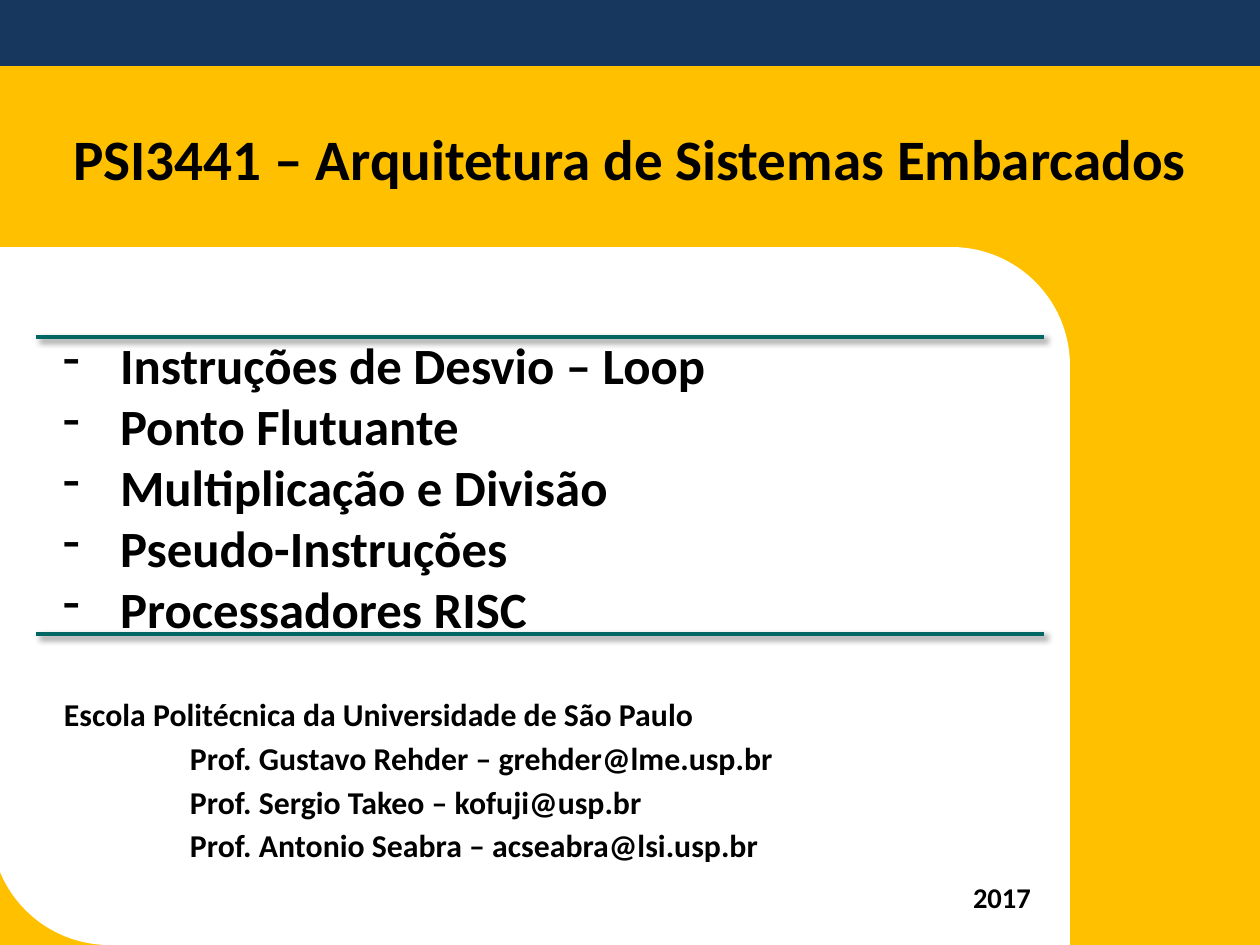
from lxml.etree import SubElement
from pptx import Presentation
from pptx.dml.color import RGBColor
from pptx.enum.shapes import MSO_CONNECTOR as Connector, MSO_SHAPE as Shape
from pptx.enum.text import MSO_ANCHOR as Anchor, MSO_AUTO_SIZE as AutoSize, PP_ALIGN as Align
from pptx.oxml import parse_xml
from pptx.oxml.ns import nsdecls, qn
from pptx.util import Emu, Pt

SCALE = 8000
WIDTH, HEIGHT = 1260, 945
FONT = "Calibri"
COLORS = {"gold": "FFC000", "navy": "17375E", "white": "FFFFFF",
          "teal": "006663", "black": "000000"}
TWO_CONTENT = 3
TOPICS = ["Instruções de Desvio – Loop", "Ponto Flutuante",
          "Multiplicação e Divisão", "Pseudo-Instruções", "Processadores RISC"]
SCHOOL = "Escola Politécnica da Universidade de São Paulo"
PROFESSORS = ["Prof. Gustavo Rehder – grehder@lme.usp.br",
              "Prof. Sergio Takeo – kofuji@usp.br",
              "Prof. Antonio Seabra – acseabra@lsi.usp.br"]


def px(value):
    """Turn pixels into EMU."""
    return Emu(value * SCALE)


def color(name):
    """Look up a named colour."""
    return RGBColor.from_string(COLORS[name])


class CoverBuilder:
    """Hold the style and the current slide, and draw each kind of element."""

    def __init__(self, deck):
        """Set the slide size and add the page."""
        deck.slide_width, deck.slide_height = px(WIDTH), px(HEIGHT)
        self.page = deck.slides.add_slide(deck.slide_layouts[TWO_CONTENT])

    def panel(self, kind, left, top, width, height, fill):
        """Draw a plain filled shape."""
        shape = self.page.shapes.add_shape(kind, px(left), px(top), px(width), px(height))
        shape.shadow.inherit = False
        shape.fill.solid()
        shape.fill.fore_color.rgb = color(fill)
        shape.line.fill.background()
        return shape

    def rule(self, left, right, y):
        """Draw a horizontal teal rule with a soft shadow."""
        line = self.page.shapes.add_connector(
            Connector.STRAIGHT, px(left), px(y), px(right), px(y))
        line.line.color.rgb = color("teal")
        line.line.width = Pt(3)
        line.element.spPr.append(parse_xml(
            f'<a:effectLst {nsdecls("a")}><a:outerShdw blurRad="{Pt(4)}" dist="{Pt(3)}" '
            f'dir="2700000" algn="tl" rotWithShape="0"><a:srgbClr val="{COLORS["black"]}">'
            '<a:alpha val="40000"/></a:srgbClr></a:outerShdw></a:effectLst>'))

    def placeholder(self, index, left, top, width, height, anchor):
        """Move a placeholder in front of the panels and return its text frame."""
        box = self.page.placeholders[index]
        box.left, box.top, box.width, box.height = px(left), px(top), px(width), px(height)
        self.page.shapes.element.append(box.element)
        return self.frame(box, anchor)

    def text_box(self, left, top, width, height):
        """Add a text box and return its text frame."""
        box = self.page.shapes.add_textbox(px(left), px(top), px(width), px(height))
        return self.frame(box, Anchor.TOP)

    def frame(self, box, anchor):
        """Apply the shared margins, wrapping and anchor."""
        frame = box.text_frame
        frame.word_wrap = True
        frame.auto_size = AutoSize.NONE
        frame.vertical_anchor = anchor
        frame.margin_left = frame.margin_right = px(13)
        frame.margin_top = frame.margin_bottom = px(7)
        return frame

    def add_lines(self, frame, lines, size, align=Align.LEFT, gap=0, indents=None, bullet=None):
        """Add bold lines as paragraphs, with optional indents and bullets."""
        for number, text in enumerate(lines):
            para = frame.add_paragraph() if number else frame.paragraphs[0]
            para.alignment = align
            para.space_before = Pt(gap if number else 0)
            properties = para._p.get_or_add_pPr()
            properties.set("marL", str(px(indents[number] if indents else 0)))
            properties.set("indent", str(px(-indents[number] if bullet else 0)))
            if bullet:
                SubElement(properties, qn("a:buFontTx"))
                SubElement(properties, qn("a:buChar")).set("char", bullet)
            else:
                SubElement(properties, qn("a:buNone"))
            span = para.add_run()
            span.text = text
            span.font.name = FONT
            span.font.size = Pt(size)
            span.font.bold = True
            span.font.color.rgb = color("black")


deck = Presentation()
cover = CoverBuilder(deck)

cover.panel(Shape.RECTANGLE, 0, 13, WIDTH, HEIGHT - 13, "gold")
sheet = cover.panel(Shape.ROUND_2_DIAG_RECTANGLE, -9, 247, 1079, 698, "white")
sheet.adjustments[0], sheet.adjustments[1] = 0, 0.17
cover.panel(Shape.RECTANGLE, 0, 0, WIDTH, 66, "navy")

title = cover.placeholder(0, 54, 86, 1152, 144, Anchor.MIDDLE)
cover.add_lines(title, ["PSI3441 – Arquitetura de Sistemas Embarcados"], 36, Align.CENTER)

authors = cover.placeholder(2, 51, 688, 882, 234, Anchor.TOP)
cover.add_lines(authors, [SCHOOL, *PROFESSORS], 20, gap=3.5,
                indents=[0] + [126] * len(PROFESSORS))

year = cover.text_box(279, 873, 765, 58)
cover.add_lines(year, ["2017"], 18, Align.RIGHT)

for y in (634, 337):
    cover.rule(36, 1044, y)

topics = cover.placeholder(1, 50, 390, 1008, 193, Anchor.MIDDLE)
cover.add_lines(topics, TOPICS, 32, indents=[57] * len(TOPICS), bullet="-")

deck.save("out.pptx")
